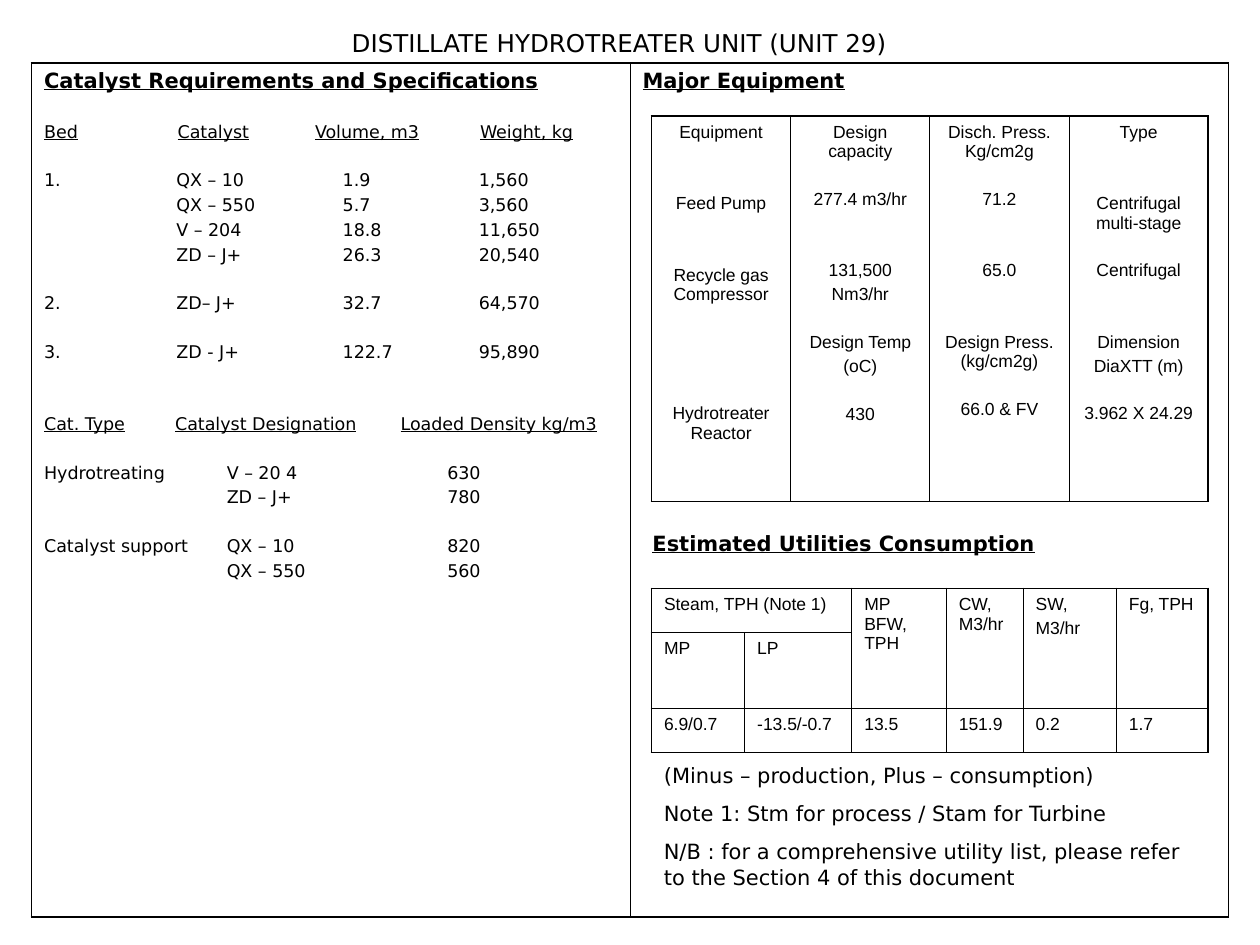
from lxml.etree import SubElement
from pptx import Presentation
from pptx.dml.color import RGBColor
from pptx.enum.text import MSO_ANCHOR, MSO_AUTO_SIZE, PP_ALIGN
from pptx.oxml.ns import qn
from pptx.util import Inches, Pt

BLACK = RGBColor(0x00, 0x00, 0x00)
BODY_FONT = "DejaVu Sans"
TABLE_FONT = "Arial"
NO_STYLE = "{2D5ABB26-0587-4C30-8999-92F81FD0307C}"
OUTER_LINE, INNER_LINE = Pt(1.08), Pt(0.45)
LINE_GAP, LINE_STEP = 2.5, 13.6  # points between lines, and per skipped line

# Tab stops of the catalyst lists, in inches
BED_HEADER_TABS = (1.06, 2.15, 3.46)
BED_TABS = (1.05, 2.37, 3.45)
DENSITY_HEADER_TABS = (1.04, 2.83)
DENSITY_TABS = (1.45, 3.2)

# Each line is (text, lines skipped above it)
BED_LINES = [
    ("1.\tQX – 10\t1.9\t1,560", 1),
    ("\tQX – 550\t5.7\t3,560", 0),
    ("\tV – 204\t18.8\t11,650", 0),
    ("\tZD – J+\t26.3\t20,540", 0),
    ("2.\tZD– J+\t32.7\t64,570", 1),
    ("3.\tZD - J+\t122.7\t95,890", 1),
]
DENSITY_LINES = [
    ("Hydrotreating\tV – 20 4\t630", 1),
    ("\tZD – J+\t780", 0),
    ("Catalyst support\tQX – 10\t820", 1),
    ("\tQX – 550\t560", 0),
]
EQUIPMENT_COLUMNS = [
    [("Equipment", 0), ("Feed Pump", 2), ("Recycle gas Compressor", 2),
     ("Hydrotreater Reactor", 4)],
    [("Design capacity", 0), ("277.4 m3/hr", 1), ("131,500", 2), ("Nm3/hr", 0),
     ("Design Temp", 1), ("(oC)", 0), ("430", 1)],
    [("Disch. Press. Kg/cm2g", 0), ("71.2", 1), ("65.0", 2),
     ("Design Press. (kg/cm2g)", 2), ("66.0 & FV", 1)],
    [("Type", 0), ("Centrifugal multi-stage", 2), ("Centrifugal", 1),
     ("Dimension", 2), ("DiaXTT (m)", 0), ("3.962 X 24.29", 1)],
]
UTILITY_ROWS = [
    ["Steam, TPH (Note 1)", None, "MP BFW, TPH", "CW, M3/hr", "SW,\nM3/hr", "Fg, TPH"],
    ["MP", "LP", None, None, None, None],
    ["6.9/0.7", "-13.5/-0.7", "13.5", "151.9", "0.2", "1.7"],
]
NOTES = [
    "(Minus – production, Plus – consumption)",
    "Note 1: Stm for process / Stam for Turbine",
    "N/B : for a comprehensive utility list, please refer to the Section 4 of this document",
]


def add_text(frame, text, *, size=10, font=BODY_FONT, bold=False, underline=False,
             align=PP_ALIGN.LEFT, space_before=LINE_GAP, tabs=()):
    """Append a paragraph; tab characters themselves are never underlined."""
    first = frame.paragraphs[0]
    is_first = not first.runs
    paragraph = first if is_first else frame.add_paragraph()
    if tabs:
        tab_list = SubElement(paragraph._p.get_or_add_pPr(), qn("a:tabLst"))
        for stop in tabs:
            SubElement(tab_list, qn("a:tab"), pos=str(Inches(stop)), algn="l")
    paragraph.alignment = align
    paragraph.space_before = Pt(0 if is_first else space_before)
    for index, piece in enumerate(text.split("\t")):
        for part, lined in (("\t" if index else "", False), (piece, underline)):
            if part:
                run = paragraph.add_run()
                run.text = part
                run.font.name = font
                run.font.size = Pt(size)
                run.font.bold = bold
                run.font.underline = lined
                run.font.color.rgb = BLACK


def add_lines(frame, lines, **text_format):
    for text, skipped in lines:
        add_text(frame, text, space_before=LINE_GAP + skipped * LINE_STEP, **text_format)


def add_heading(frame, text):
    add_text(frame, text, size=12, bold=True, underline=True)


def add_text_box(slide, left, top, width, height):
    frame = slide.shapes.add_textbox(
        Inches(left), Inches(top), Inches(width), Inches(height)).text_frame
    frame.word_wrap = True
    return frame


def add_plain_table(slide, left, top, column_widths, row_heights):
    table = slide.shapes.add_table(
        len(row_heights), len(column_widths), Inches(left), Inches(top),
        Inches(sum(column_widths)), Inches(sum(row_heights))).table
    table.first_row = table.horz_banding = False
    table._tbl.tblPr.find(qn("a:tableStyleId")).text = NO_STYLE
    for column, width in zip(table.columns, column_widths):
        column.width = Inches(width)
    for row, height in zip(table.rows, row_heights):
        row.height = Inches(height)
    return table


def draw_borders(table):
    """Rule every cell: heavier around the table, thinner inside it."""
    last_row, last_column = len(table.rows) - 1, len(table.columns) - 1
    for r, row in enumerate(table.rows):
        for c, cell in enumerate(row.cells):
            if cell.is_spanned:
                continue
            right = c + cell.span_width - 1 if cell.is_merge_origin else c
            bottom = r + cell.span_height - 1 if cell.is_merge_origin else r
            on_edge = {"a:lnL": c == 0, "a:lnR": right == last_column,
                       "a:lnT": r == 0, "a:lnB": bottom == last_row}
            properties = cell._tc.get_or_add_tcPr()
            for tag, outer in on_edge.items():
                line = SubElement(properties, qn(tag),
                                  w=str(OUTER_LINE if outer else INNER_LINE))
                fill = SubElement(line, qn("a:solidFill"))
                SubElement(fill, qn("a:srgbClr"), val=str(BLACK))
            cell.fill.background()


def add_title(slide, text):
    title = slide.shapes.title
    title.left, title.top = Inches(0.33), Inches(0.17)
    title.width, title.height = Inches(9.17), Inches(1.4)
    frame = title.text_frame
    frame.word_wrap = True
    frame.auto_size = MSO_AUTO_SIZE.NONE
    frame.vertical_anchor = MSO_ANCHOR.TOP
    add_text(frame, text, size=14, align=PP_ALIGN.CENTER)


def add_page_frame(slide):
    table = add_plain_table(slide, 0.25, 0.5, [4.75, 4.75], [6.78])
    draw_borders(table)
    catalysts = table.cell(0, 0).text_frame
    add_heading(catalysts, "Catalyst Requirements and Specifications")
    add_lines(catalysts, [("Bed\tCatalyst\tVolume, m3\tWeight, kg", 1)],
              underline=True, tabs=BED_HEADER_TABS)
    add_lines(catalysts, BED_LINES, tabs=BED_TABS)
    add_lines(catalysts, [("Cat. Type\tCatalyst Designation\tLoaded Density kg/m3", 2)],
              underline=True, tabs=DENSITY_HEADER_TABS)
    add_lines(catalysts, DENSITY_LINES, tabs=DENSITY_TABS)
    add_heading(table.cell(0, 1).text_frame, "Major Equipment")


def add_equipment_table(slide):
    count = len(EQUIPMENT_COLUMNS)
    table = add_plain_table(slide, 5.17, 0.92, [4.42 / count] * count, [3.06])
    draw_borders(table)
    for cell, lines in zip(table.rows[0].cells, EQUIPMENT_COLUMNS):
        add_lines(cell.text_frame, lines, font=TABLE_FONT, align=PP_ALIGN.CENTER)


def add_utilities_table(slide):
    table = add_plain_table(slide, 5.17, 4.67, [0.74, 0.85, 0.75, 0.61, 0.74, 0.73],
                            [0.35, 0.6, 0.35])
    table.cell(0, 0).merge(table.cell(0, 1))
    for column in range(2, 6):
        table.cell(0, column).merge(table.cell(1, column))
    draw_borders(table)
    for row, texts in zip(table.rows, UTILITY_ROWS):
        for cell, text in zip(row.cells, texts):
            for line in text.split("\n") if text else ():
                add_text(cell.text_frame, line, font=TABLE_FONT)


def main():
    presentation = Presentation()
    presentation.slide_width, presentation.slide_height = Inches(10), Inches(7.5)
    slide = presentation.slides.add_slide(presentation.slide_layouts[5])

    add_title(slide, "DISTILLATE HYDROTREATER UNIT (UNIT 29)")
    add_page_frame(slide)
    add_equipment_table(slide)

    # Utilities: heading, table and notes
    add_heading(add_text_box(slide, 5.08, 4.16, 4.5, 0.81),
                "Estimated Utilities Consumption")
    add_utilities_table(slide)
    notes = add_text_box(slide, 5.17, 6, 4.42, 1.42)
    for note in NOTES:
        add_text(notes, note, size=12, space_before=7.5)

    presentation.save("out.pptx")


if __name__ == "__main__":
    main()
